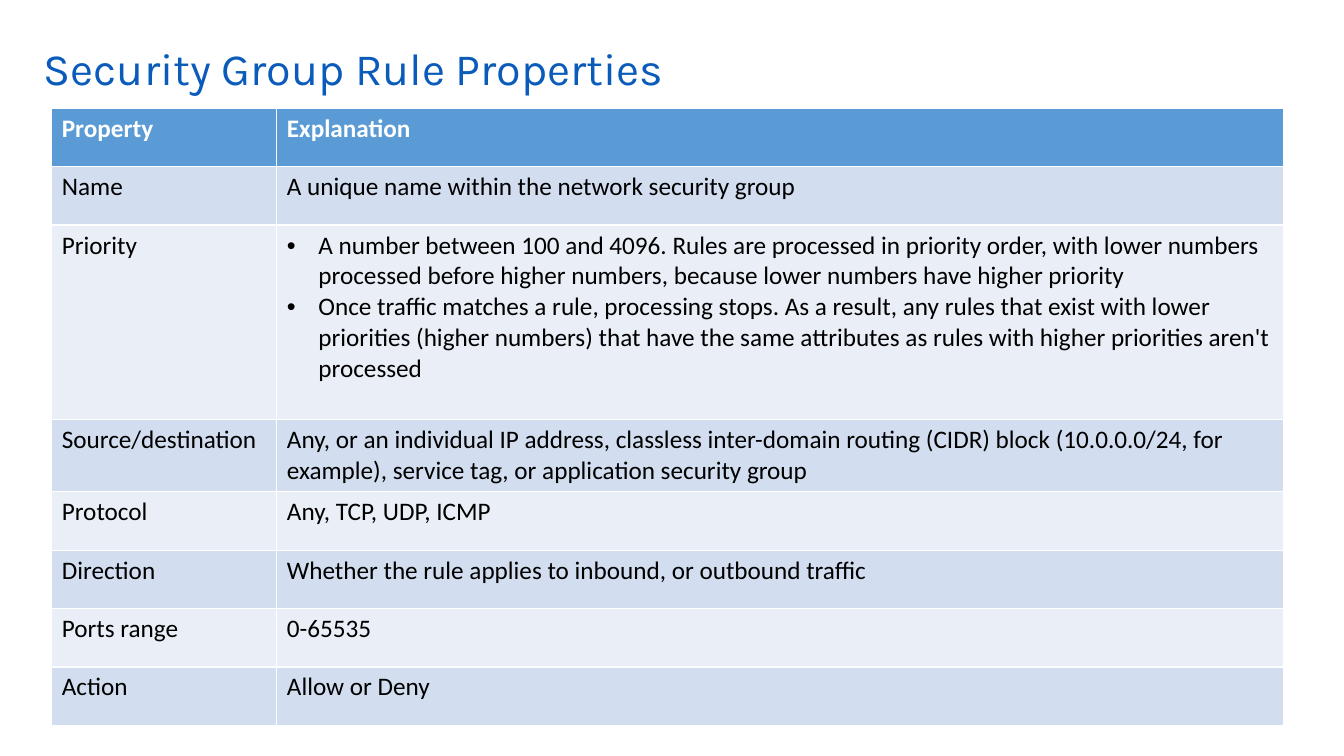
from pptx import Presentation
from pptx.dml.color import RGBColor
from pptx.enum.text import MSO_ANCHOR, PP_ALIGN
from pptx.oxml.xmlchemy import OxmlElement
from pptx.util import Pt

MIDDLE = MSO_ANCHOR.MIDDLE
LEFT = PP_ALIGN.LEFT

COLORS = {
    "title": "0A5BBA", "head": "5B9BD5", "odd": "D2DEEF",
    "even": "EAEFF7", "white": "FFFFFF", "black": "000000",
}
FONTS = {
    "title": {"name": "Karla", "size": Pt(32), "bold": False},
    "head": {"name": "Calibri", "size": Pt(18), "bold": True},
    "cell": {"name": "Calibri", "size": Pt(18), "bold": False},
}
WIDTHS = (160.8, 719.2)
ROW = 41.7
TALL = {2: 139.2, 3: 51.4}
INDENT = Pt(22.5)

# A list stands for a bulleted cell
RULES = [
    ("Property", "Explanation"),
    ("Name", "A unique name within the network security group"),
    ("Priority", [
        "A number between 100 and 4096. Rules are processed in priority order, "
        "with lower numbers processed before higher numbers, because lower "
        "numbers have higher priority",
        "Once traffic matches a rule, processing stops. As a result, any rules "
        "that exist with lower priorities (higher numbers) that have the same "
        "attributes as rules with higher priorities aren't processed",
    ]),
    ("Source/destination",
     "Any, or an individual IP address, classless inter-domain routing (CIDR) "
     "block (10.0.0.0/24, for example), service tag, or application security "
     "group"),
    ("Protocol", "Any, TCP, UDP, ICMP"),
    ("Direction", "Whether the rule applies to inbound, or outbound traffic"),
    ("Ports range", "0-65535"),
    ("Action", "Allow or Deny"),
]


def color(key):
    return RGBColor.from_string(COLORS[key])


def write(para, text, font, tint):
    run = para.add_run()
    run.text = text
    for name, value in FONTS[font].items():
        setattr(run.font, name, value)
    run.font.color.rgb = color(tint)
    para.alignment = LEFT


def bullet(para):
    props = para._p.get_or_add_pPr()
    props.set("marL", str(INDENT))
    props.set("indent", str(-INDENT))
    for tag, key, value in (("a:buFont", "typeface", "Arial"),
                            ("a:buChar", "char", "•")):
        mark = OxmlElement(tag)
        mark.set(key, value)
        props.append(mark)


def add_title(slide, text):
    title = slide.shapes.title
    title.left, title.top = Pt(24), Pt(24)
    title.width, title.height = Pt(888), Pt(54)
    title.text_frame.vertical_anchor = MIDDLE
    para = title.text_frame.paragraphs[0]
    para.line_spacing = 0.9
    write(para, text, "title", "title")


def fill_cell(cell, text, row):
    font, tint = ("cell", "black") if row else ("head", "white")
    band = ("even", "odd")[row % 2] if row else "head"
    cell.fill.solid()
    cell.fill.fore_color.rgb = color(band)
    frame = cell.text_frame
    listed = isinstance(text, list)
    for i, item in enumerate(text if listed else [text]):
        para = frame.add_paragraph() if i else frame.paragraphs[0]
        write(para, item, font, tint)
        if listed:
            bullet(para)


def add_grid(slide, rules):
    heights = [TALL.get(i, ROW) for i in range(len(rules))]
    grid = slide.shapes.add_table(
        len(rules), len(WIDTHS), Pt(37), Pt(77.3),
        Pt(sum(WIDTHS)), Pt(sum(heights))).table
    for col, width in zip(grid.columns, WIDTHS):
        col.width = Pt(width)
    for row, height in enumerate(heights):
        grid.rows[row].height = Pt(height)
        for col, text in enumerate(rules[row]):
            fill_cell(grid.cell(row, col), text, row)


def main():
    deck = Presentation()
    deck.slide_width, deck.slide_height = Pt(960), Pt(540)
    # Title above, table below
    slide = deck.slides.add_slide(deck.slide_layouts[5])
    add_title(slide, "Security Group Rule Properties")
    add_grid(slide, RULES)
    deck.save("out.pptx")


if __name__ == "__main__":
    main()
